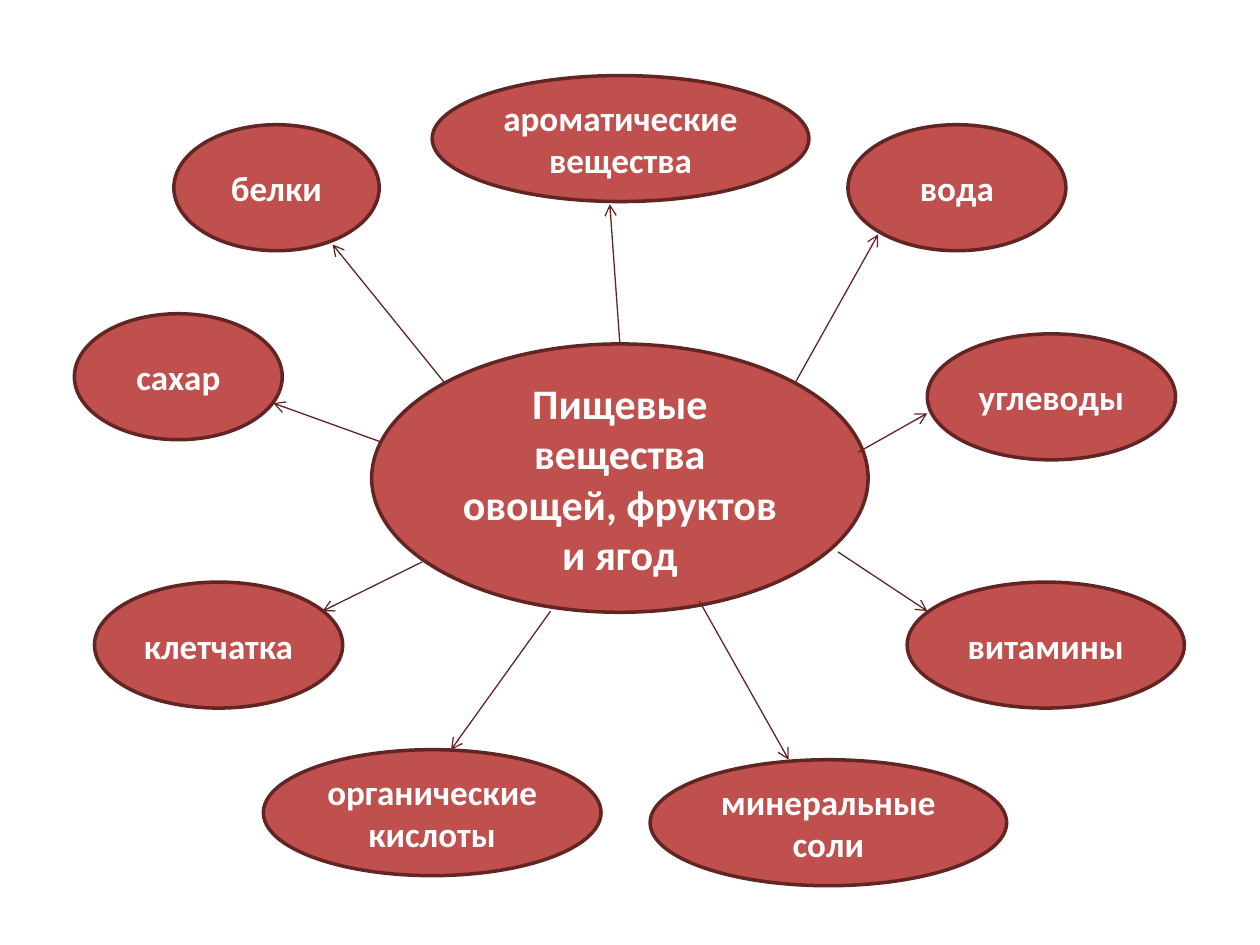
from dataclasses import dataclass

from lxml import etree
from pptx import Presentation
from pptx.dml.color import RGBColor
from pptx.enum.shapes import MSO_CONNECTOR, MSO_SHAPE
from pptx.enum.text import MSO_ANCHOR, PP_ALIGN
from pptx.oxml.ns import qn
from pptx.util import Inches, Pt

ELLIPSE = MSO_SHAPE.OVAL
STRAIGHT = MSO_CONNECTOR.STRAIGHT
MIDDLE = MSO_ANCHOR.MIDDLE
CENTER = PP_ALIGN.CENTER
BLANK_LAYOUT = 6


@dataclass(frozen=True)
class Theme:
    fill: RGBColor = RGBColor(0xC0, 0x50, 0x4D)
    outline: RGBColor = RGBColor(0x63, 0x25, 0x23)
    text: RGBColor = RGBColor(0xFF, 0xFF, 0xFF)
    font: str = "Calibri"
    topic_size: Pt = Pt(24)
    nutrient_size: Pt = Pt(20)
    outline_width: Pt = Pt(2)
    arrow_width: Pt = Pt(0.75)


@dataclass(frozen=True)
class Bubble:
    text: str
    left: float
    top: float
    width: float
    height: float = 1


@dataclass(frozen=True)
class Spoke:
    """A nutrient and the arrow that leads to it from the topic."""
    nutrient: Bubble
    start: tuple[float, float]
    end: tuple[float, float]


THEME = Theme()
TOPIC = Bubble("Пищевые вещества овощей, фруктов и ягод", 2.95, 2.73, 3.94, 2.13)

# Clockwise from the top
SPOKES = [
    Spoke(Bubble("ароматические вещества", 3.43, 0.6, 2.99), (4.92, 2.73), (4.84, 1.62)),
    Spoke(Bubble("вода", 6.73, 0.99, 1.73), (6.31, 3.04), (6.97, 1.86)),
    Spoke(Bubble("углеводы", 7.36, 2.65, 1.97), (6.81, 3.59), (7.36, 3.28)),
    Spoke(Bubble("витамины", 7.2, 4.62, 2.2), (6.65, 4.38), (7.36, 4.85)),
    Spoke(Bubble("минеральные\nсоли", 5.16, 6.03, 2.83), (5.55, 4.77), (6.26, 6.03)),
    Spoke(Bubble("органические кислоты", 2.09, 5.95, 2.68), (4.37, 4.85), (3.58, 5.95)),
    Spoke(Bubble("клетчатка", 0.75, 4.62, 1.97), (3.35, 4.46), (2.56, 4.85)),
    Spoke(Bubble("сахар", 0.59, 2.49, 1.65), (3.03, 3.51), (2.17, 3.2)),
    Spoke(Bubble("белки", 1.38, 0.99, 1.63), (3.53, 3.04), (2.64, 1.94)),
]


def draw_bubble(slide, bubble: Bubble, size: Pt) -> None:
    box = (bubble.left, bubble.top, bubble.width, bubble.height)
    shape = slide.shapes.add_shape(ELLIPSE, *map(Inches, box))
    shape.shadow.inherit = False
    shape.fill.solid()
    shape.fill.fore_color.rgb = THEME.fill
    shape.line.color.rgb = THEME.outline
    shape.line.width = THEME.outline_width

    frame = shape.text_frame
    frame.word_wrap = True
    frame.vertical_anchor = MIDDLE
    frame.text = bubble.text
    font_format = {"name": THEME.font, "size": size, "bold": True}
    for paragraph in frame.paragraphs:
        paragraph.alignment = CENTER
        for run in paragraph.runs:
            for attribute, value in font_format.items():
                setattr(run.font, attribute, value)
            run.font.color.rgb = THEME.text


def draw_arrow(slide, spoke: Spoke) -> None:
    connector = slide.shapes.add_connector(
        STRAIGHT, *map(Inches, spoke.start + spoke.end))
    connector.line.color.rgb = THEME.outline
    connector.line.width = THEME.arrow_width
    # Open arrowhead at the nutrient, and no theme shadow
    properties = connector.element.spPr
    etree.SubElement(properties.find(qn("a:ln")), qn("a:tailEnd"), type="arrow")
    etree.SubElement(properties, qn("a:effectLst"))


def main() -> None:
    presentation = Presentation()
    presentation.slide_width = Inches(10)
    presentation.slide_height = Inches(7.5)
    slide = presentation.slides.add_slide(presentation.slide_layouts[BLANK_LAYOUT])

    # Topic in the middle, nutrients around it, arrows on top
    draw_bubble(slide, TOPIC, THEME.topic_size)
    for spoke in SPOKES:
        draw_bubble(slide, spoke.nutrient, THEME.nutrient_size)
    for spoke in SPOKES:
        draw_arrow(slide, spoke)

    presentation.save("out.pptx")


if __name__ == "__main__":
    main()
